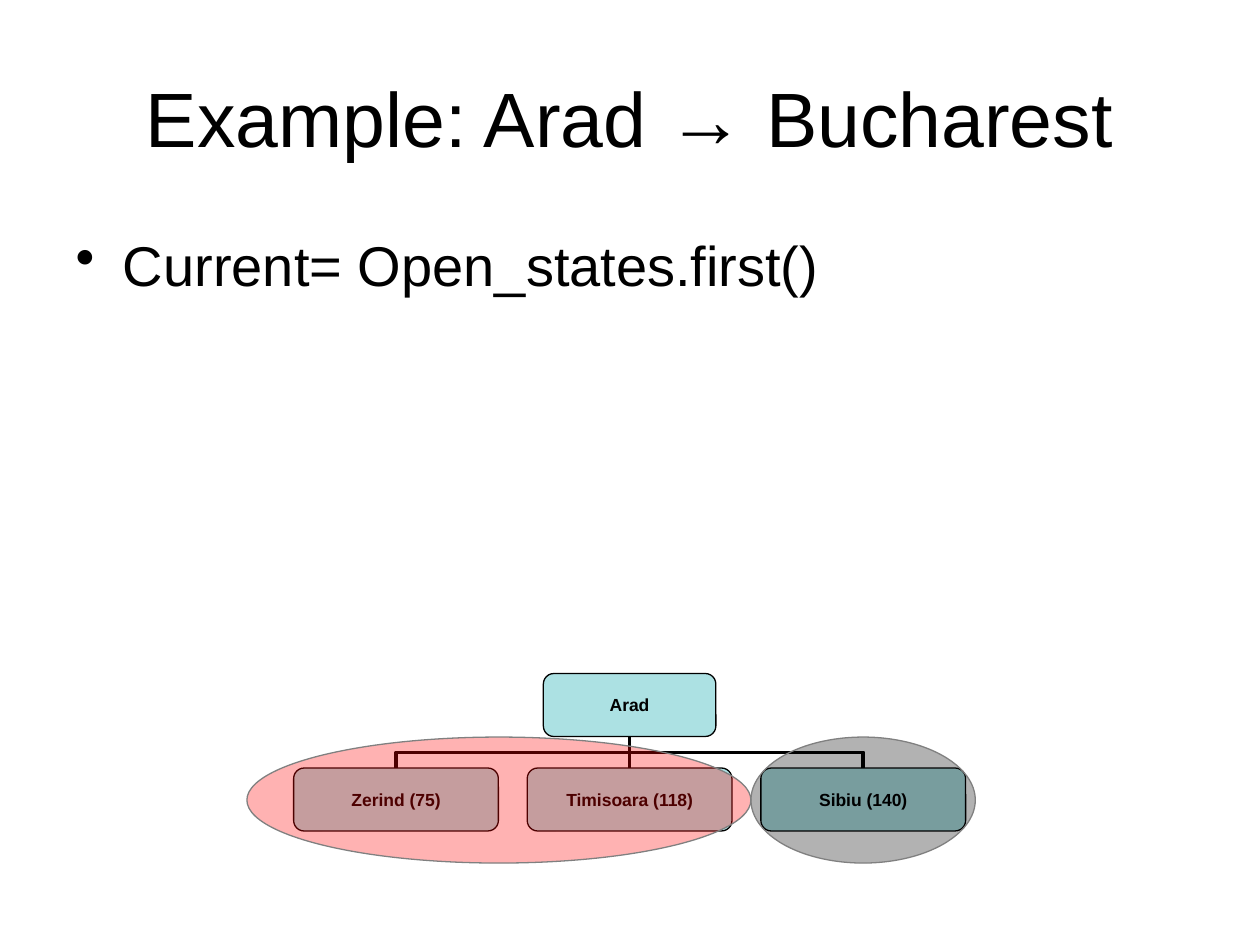
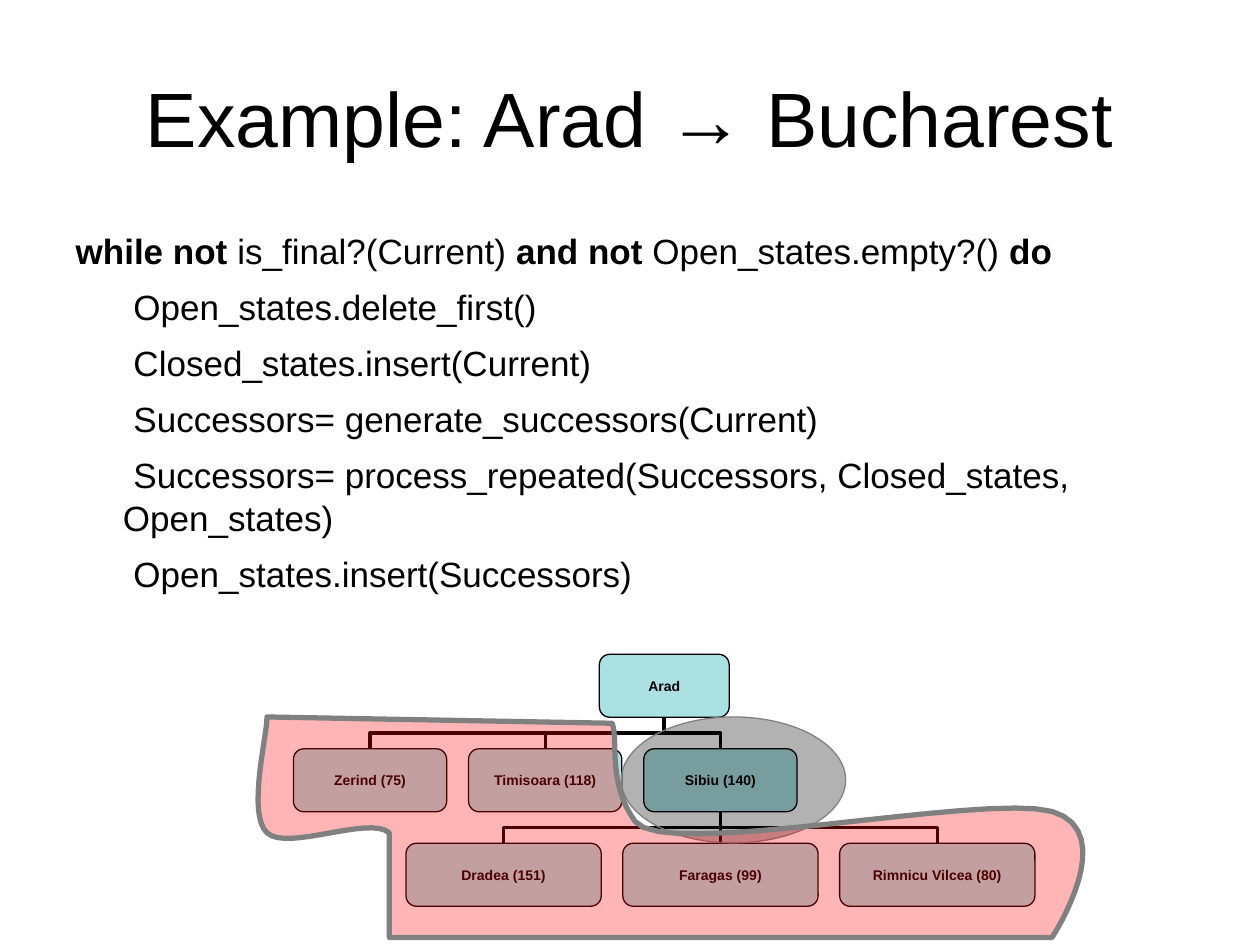
from lxml import etree
from pptx import Presentation
from pptx.dml.color import RGBColor
from pptx.enum.shapes import MSO_CONNECTOR as Link, MSO_SHAPE as Shape
from pptx.enum.text import MSO_ANCHOR as Anchor, PP_ALIGN as Align
from pptx.oxml.ns import qn
from pptx.util import Pt

FONT = "Arial"
BLACK, GREY, RED, AQUA = "000000", "808080", "FF0000", "ACE1E3"
TITLE = "Example: Arad → Bucharest"
NODE_HEIGHT = 36
LEVEL_STEP = 54
CURVE_STEPS = 16

FRONTIER = [
    (152.6, 409.7),
    (152.6, 421.2, 141.1, 465.1, 152.6, 475.9),
    (164.2, 486.7, 211, 465.8, 222.5, 475.9),
    (222.5, 535.7),
    (601.2, 535.7),
    (601.2, 535.7, 640.8, 475.2, 601.2, 463.7),
    (561.6, 452.9, 379.4, 491.8, 362.9, 469.4),
    (347, 447.1, 353.5, 424.1, 349.9, 413.3),
]
CODE = [
    "*while not* is_final?(Current) *and not* Open_states.empty?() *do*",
    "Open_states.delete_first()",
    "Closed_states.insert(Current)",
    "Successors= generate_successors(Current)",
    "Successors= process_repeated(Successors, Closed_states, Open_states)",
    "Open_states.insert(Successors)",
]


def color(value):
    """Turn a hex string into a colour."""
    return RGBColor.from_string(value)


def trace(outline):
    """Return the points of an outline made of line ends and cubic curves."""
    points = [outline[0]]
    for part in outline[1:]:
        if len(part) == 2:
            points.append(part)
            continue
        x0, y0 = points[-1]
        x1, y1, x2, y2, x3, y3 = part
        for step in range(1, CURVE_STEPS + 1):
            t = step / CURVE_STEPS
            a, b, c, d = (1 - t) ** 3, 3 * t * (1 - t) ** 2, 3 * t * t * (1 - t), t ** 3
            points.append((a * x0 + b * x1 + c * x2 + d * x3,
                           a * y0 + b * y1 + c * y2 + d * y3))
    return points


class SearchDeck:
    """Holds the deck, its style and the current slide."""

    def __init__(self):
        """Open an empty deck of the right size."""
        self.deck = Presentation()
        self.deck.slide_width, self.deck.slide_height = Pt(720), Pt(540)

    def start_slide(self):
        """Add a slide with the shared title."""
        self.page = self.deck.slides.add_slide(self.deck.slide_layouts[5])
        box = self.page.shapes.title
        box.left, box.top, box.width, box.height = Pt(36), Pt(7.2), Pt(648), Pt(118.8)
        frame = box.text_frame
        frame.text = TITLE
        frame.vertical_anchor = Anchor.MIDDLE
        frame.paragraphs[0].alignment = Align.CENTER
        self.style(frame.paragraphs[0].runs[0], 44)

    def style(self, span, size, bold=False):
        """Format one run."""
        span.font.name, span.font.size, span.font.bold = FONT, Pt(size), bold
        span.font.color.rgb = color(BLACK)

    def paint(self, shape, fill, line, weight, opacity=None):
        """Set the fill and outline of a shape."""
        shape.shadow.inherit = False
        if fill:
            shape.fill.solid()
            shape.fill.fore_color.rgb = color(fill)
        else:
            shape.fill.background()
        if opacity:
            tint = shape.fill._xPr.find(".//" + qn("a:srgbClr"))
            etree.SubElement(tint, qn("a:alpha")).set("val", str(opacity * 1000))
        shape.line.color.rgb = color(line)
        shape.line.width = Pt(weight)

    def node(self, label, center, top, width, size):
        """Add one tree node around a horizontal centre."""
        box = self.page.shapes.add_shape(Shape.ROUNDED_RECTANGLE, Pt(center - width / 2),
                                         Pt(top), Pt(width), Pt(NODE_HEIGHT))
        box.adjustments[0] = 0.167
        self.paint(box, AQUA, BLACK, 0.75)
        frame = box.text_frame
        frame.text = label
        frame.word_wrap = False
        frame.vertical_anchor = Anchor.MIDDLE
        frame.paragraphs[0].alignment = Align.CENTER
        self.style(frame.paragraphs[0].runs[0], size, True)
        return box

    def children(self, parent, labels, center, width, pitch, size):
        """Add a row of nodes below a parent and link them to it."""
        top = parent.top.pt + LEVEL_STEP
        first = center - pitch * (len(labels) - 1) / 2
        row = [self.node(label, first + pitch * index, top, width, size)
               for index, label in enumerate(labels)]
        for child in row:
            self.branch(child, parent)
        return row

    def branch(self, child, parent):
        """Link a child to its parent, straight if they are aligned."""
        x1, y1 = child.left.pt + child.width.pt / 2, child.top.pt
        x2, y2 = parent.left.pt + parent.width.pt / 2, parent.top.pt + parent.height.pt
        if abs(x1 - x2) < 0.5:
            link = self.page.shapes.add_connector(Link.STRAIGHT, Pt(x1), Pt(y1), Pt(x2), Pt(y2))
            link.begin_connect(child, 0)
            link.end_connect(parent, 2)
            link.line.color.rgb = color(BLACK)
            link.line.width = Pt(2)
            etree.SubElement(link._element.spPr, qn("a:effectLst"))
        else:
            middle = (y1 + y2) / 2
            elbow = self.freeform([(x1, y1), (x1, middle), (x2, middle), (x2, y2)], False)
            self.paint(elbow, None, BLACK, 2)

    def freeform(self, points, close):
        """Add an outline through the given points."""
        corners = [(Pt(x), Pt(y)) for x, y in points]
        builder = self.page.shapes.build_freeform(*corners[0])
        builder.add_line_segments(corners[1:], close=close)
        return builder.convert_to_shape()

    def ellipse(self, left, top, width, fill):
        """Add a see-through ellipse that marks a set of states."""
        mark = self.page.shapes.add_shape(Shape.OVAL, Pt(left), Pt(top), Pt(width), Pt(72))
        self.paint(mark, fill, GREY, 0.75, 30)

    def region(self, outline):
        """Add a see-through curved region."""
        self.paint(self.freeform(trace(outline), True), RED, GREY, 3, 29)

    def body(self, lines, size, bullet=None):
        """Add the body text, with bold parts between asterisks."""
        box = self.page.shapes.add_textbox(Pt(36), Pt(126), Pt(648), Pt(414))
        frame = box.text_frame
        frame.word_wrap = True
        frame.margin_left = frame.margin_top = frame.margin_bottom = Pt(4.3)
        for index, line in enumerate(lines):
            para = frame.add_paragraph() if index else frame.paragraphs[0]
            properties = para._p.get_or_add_pPr()
            properties.set("marL", str(Pt(30)))
            properties.set("indent", str(Pt(6 if index else -27)))
            if bullet:
                etree.SubElement(properties, qn("a:buChar")).set("char", bullet)
            para.line_spacing = 1.04
            if index:
                para.space_before = Pt(7)
            for number, part in enumerate(line.split("*")):
                if part:
                    span = para.add_run()
                    span.text = part
                    self.style(span, size, number % 2 == 1)


def main():
    """Build both slides and save the deck."""
    show = SearchDeck()
    cities = ["Zerind (75)", "Timisoara (118)", "Sibiu (140)"]

    show.start_slide()
    arad = show.node("Arad", 359.8, 384.9, 98.6, 10)
    show.children(arad, cities, 359.8, 117, 133.5, 10)
    show.ellipse(429.1, 421.2, 128.2, BLACK)
    show.ellipse(141.1, 421.2, 288, RED)
    show.body(["Current= Open_states.first()"], 32, "•")

    show.start_slide()
    arad = show.node("Arad", 379.6, 373.9, 74.2, 8)
    sibiu = show.children(arad, cities, 311.6, 87.6, 100.1, 8)[-1]
    show.children(sibiu, ["Dradea (151)", "Faragas (99)", "Rimnicu Vilcea (80)"],
                  411.7, 111.6, 123.9, 8)
    show.ellipse(355, 409.7, 128.2, BLACK)
    show.region(FRONTIER)
    show.body(CODE, 20)

    show.deck.save("out.pptx")


if __name__ == "__main__":
    main()
